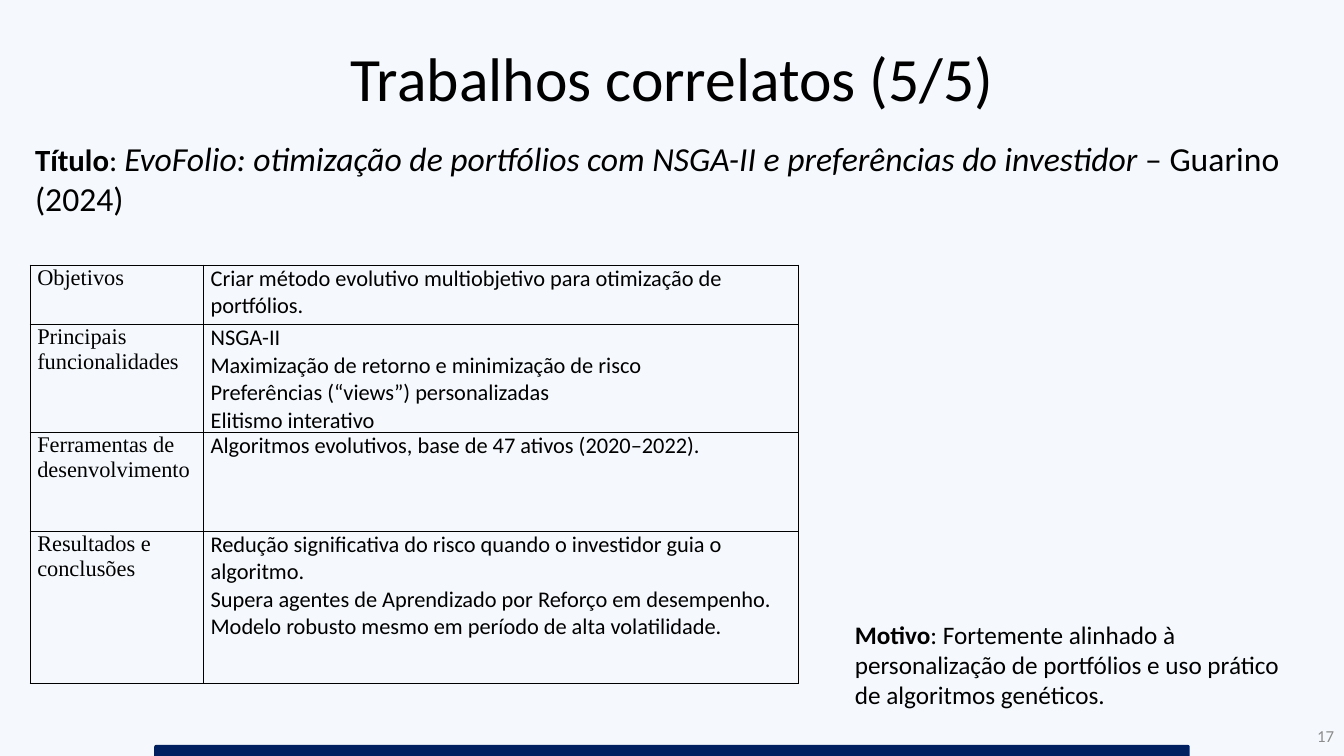
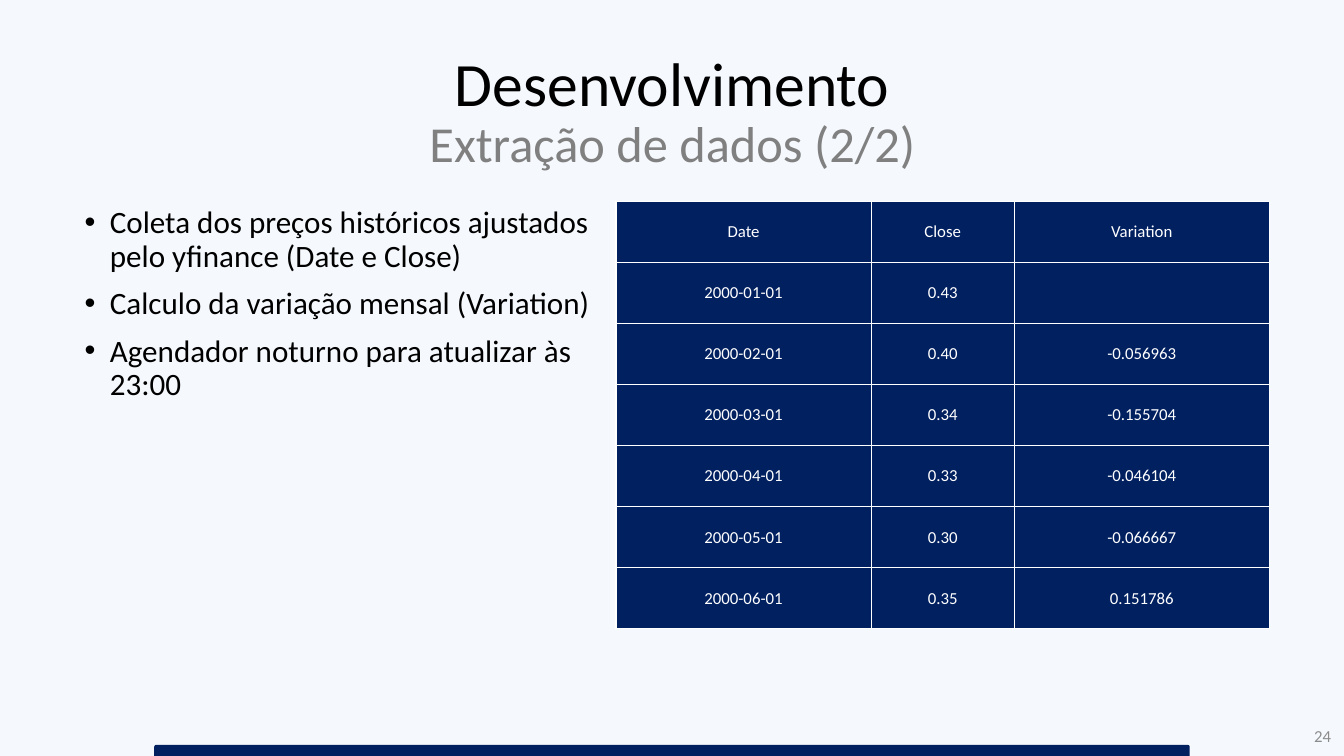
from pptx import Presentation
from pptx.dml.color import RGBColor
from pptx.enum import shapes, text
from pptx.oxml import parse_xml
from pptx.oxml.ns import nsdecls
from pptx.util import Inches, Pt

BACKGROUND = RGBColor(0xF5, 0xF9, 0xFD)
NAVY = RGBColor(0x00, 0x20, 0x60)
BLACK = RGBColor(0x00, 0x00, 0x00)
WHITE = RGBColor(0xFF, 0xFF, 0xFF)
GRAY = RGBColor(0x80, 0x80, 0x80)
NUMBER_GRAY = RGBColor(0x8C, 0x8C, 0x8C)
SANS, SERIF = "Calibri", "Times New Roman"
CENTER, RIGHT = text.PP_ALIGN.CENTER, text.PP_ALIGN.RIGHT
MIDDLE = text.MSO_ANCHOR.MIDDLE
TITLE_ONLY, TITLE_AND_BODY = 5, 1


def apply(target, values):
    for name, value in values.items():
        setattr(target, name, value)


def place(shape, box):
    apply(shape, dict(zip(("left", "top", "width", "height"), map(Inches, box))))


def write_runs(para, runs, size, color=BLACK, font=SANS):
    """Each run is (words, changes to the base format)."""
    for words, changes in runs:
        span = para.add_run()
        span.text = words
        values = {"size": Pt(size), "name": font, "bold": False, "italic": False} | changes
        span.font.color.rgb = values.pop("color", color)
        apply(span.font, values)


def add_text(page, box, runs, size, color=BLACK, align=None, anchor=None):
    frame = page.shapes.add_textbox(*map(Inches, box)).text_frame
    apply(frame, {"word_wrap": True, "vertical_anchor": anchor})
    frame.paragraphs[0].alignment = align
    write_runs(frame.paragraphs[0], runs, size, color)


# Parts shared by the slides
def add_page(deck, layout, title, title_top, number, number_left, subtitle=None):
    page = deck.slides.add_slide(deck.slide_layouts[layout])
    place(page.shapes.title, (0.92, title_top, 11.5, 1.45))
    frame = page.shapes.title.text_frame
    apply(frame, {"vertical_anchor": MIDDLE, "auto_size": text.MSO_AUTO_SIZE.NONE})
    para = frame.paragraphs[0]
    apply(para, {"alignment": CENTER, "line_spacing": 0.9})
    write_runs(para, [(title, {})], 44)
    if subtitle:
        para.add_line_break()
        write_runs(para, [(subtitle, {"color": GRAY})], 36)

    band = page.shapes.add_shape(shapes.MSO_SHAPE.ROUND_2_SAME_RECTANGLE,
                                 *map(Inches, (1.53, 7.39, 10.27, 0.11)))
    band.shadow.inherit = False
    band.fill.solid()
    band.fill.fore_color.rgb = NAVY
    band.line.fill.background()
    add_text(page, (number_left, 7.1, 3, 0.4), [(number, {})], 12, NUMBER_GRAY, RIGHT, MIDDLE)
    return page


def add_borders(cell, color):
    properties = cell._tc.get_or_add_tcPr()
    for side in "LRTB":
        properties.append(parse_xml(
            f'<a:ln{side} {nsdecls("a")} w="12700"><a:solidFill>'
            f'<a:srgbClr val="{color}"/></a:solidFill></a:ln{side}>'))


def add_table(page, left, top, widths, heights, rows, style):
    """Every cell is a list of lines; style holds the look of the grid."""
    box = (left, top, sum(widths), sum(heights))
    table = page.shapes.add_table(len(rows), len(widths), *map(Inches, box)).table
    apply(table, {"first_row": False, "horz_banding": False})
    for column, width in zip(table.columns, widths):
        column.width = Inches(width)
    for row, height, contents in zip(table.rows, heights, rows):
        row.height = Inches(height)
        for cell, lines, font in zip(row.cells, contents, style["fonts"]):
            side = Inches(style["inset"])
            apply(cell, {"margin_left": side, "margin_right": side, "margin_top": 0,
                         "margin_bottom": 0, "vertical_anchor": style["anchor"]})
            add_borders(cell, style["border"])
            if style["fill"] is None:
                cell.fill.background()
            else:
                cell.fill.solid()
                cell.fill.fore_color.rgb = style["fill"]
            frame = cell.text_frame
            for index, line in enumerate(lines):
                para = frame.add_paragraph() if index else frame.paragraphs[0]
                para.alignment = style["align"]
                write_runs(para, [(line, {})], style["size"], style["color"], font)


def fill_bullets(body, box, items):
    place(body, box)
    frame = body.text_frame
    frame.auto_size = text.MSO_AUTO_SIZE.NONE
    for index, item in enumerate(items):
        para = frame.add_paragraph() if index else frame.paragraphs[0]
        properties = para._p.get_or_add_pPr()
        indent = Inches(0.25)
        properties.set("marL", str(indent))
        properties.set("indent", str(-indent))
        properties.append(parse_xml(f'<a:buFont {nsdecls("a")} typeface="Arial"/>'))
        properties.append(parse_xml(f'<a:buChar {nsdecls("a")} char="•"/>'))
        apply(para, {"line_spacing": 0.9, "space_before": Pt(10 if index else 0)})
        write_runs(para, [(item, {})], 22.2)


def related_work(deck):
    page = add_page(deck, TITLE_ONLY, "Trabalhos correlatos (5/5)", 0.08, "17", 10.33)
    add_text(page, (0.25, 1.32, 12.84, 0.91), [
        ("Título", {"bold": True, "size": Pt(22)}),
        (": ", {"size": Pt(22)}),
        ("EvoFolio: otimização de portfólios com NSGA-II e preferências do investidor",
         {"italic": True}),
        (" – Guarino (2024)", {}),
    ], 24)
    rows = [
        (["Objetivos"],
         ["Criar método evolutivo multiobjetivo para otimização de portfólios."]),
        (["Principais funcionalidades"],
         ["NSGA-II", "Maximização de retorno e minimização de risco",
          "Preferências (“views”) personalizadas", "Elitismo interativo"]),
        (["Ferramentas de desenvolvimento"],
         ["Algoritmos evolutivos, base de 47 ativos (2020–2022)."]),
        (["Resultados e conclusões"],
         ["Redução significativa do risco quando o investidor guia o algoritmo.",
          "Supera agentes de Aprendizado por Reforço em desempenho.",
          "Modelo robusto mesmo em período de alta volatilidade."]),
    ]
    style = {"fonts": (SERIF, SANS), "size": 16, "color": BLACK, "border": BLACK,
             "fill": None, "align": None, "anchor": None, "inset": 0.07}
    add_table(page, 0.3, 2.63, (1.72, 5.9), (0.59, 1.07, 0.98, 1.51), rows, style)
    add_text(page, (8.38, 6.09, 4.49, 1.01), [
        ("Motivo", {"bold": True}),
        (": Fortemente alinhado à personalização de portfólios e uso prático "
         "de algoritmos genéticos.", {}),
    ], 18)


def data_extraction(deck):
    page = add_page(deck, TITLE_AND_BODY, "Desenvolvimento", 0.4, "24", 10.3,
                    "Extração de dados (2/2)")
    fill_bullets(page.placeholders[1], (0.74, 2, 5.37, 2.05), [
        "Coleta dos preços históricos ajustados pelo yfinance (Date e Close)",
        "Calculo da variação mensal (Variation)",
        "Agendador noturno para atualizar às 23:00",
    ])
    prices = [
        ("Date", "Close", "Variation"),
        ("2000-01-01", "0.43", ""),
        ("2000-02-01", "0.40", "-0.056963"),
        ("2000-03-01", "0.34", "-0.155704"),
        ("2000-04-01", "0.33", "-0.046104"),
        ("2000-05-01", "0.30", "-0.066667"),
        ("2000-06-01", "0.35", "0.151786"),
    ]
    rows = [[[value] if value else [] for value in row] for row in prices]
    style = {"fonts": (SANS,) * 3, "size": 12, "color": WHITE, "border": WHITE,
             "fill": NAVY, "align": CENTER, "anchor": MIDDLE, "inset": 0.05}
    add_table(page, 6.11, 2, (2.53, 1.42, 2.53), [4.24 / len(rows)] * len(rows), rows, style)


def main():
    deck = Presentation()
    apply(deck, {"slide_width": Inches(13.33), "slide_height": Inches(7.5)})
    backdrop = deck.slide_master.background.fill
    backdrop.solid()
    backdrop.fore_color.rgb = BACKGROUND
    related_work(deck)
    data_extraction(deck)
    deck.save("out.pptx")


if __name__ == "__main__":
    main()
